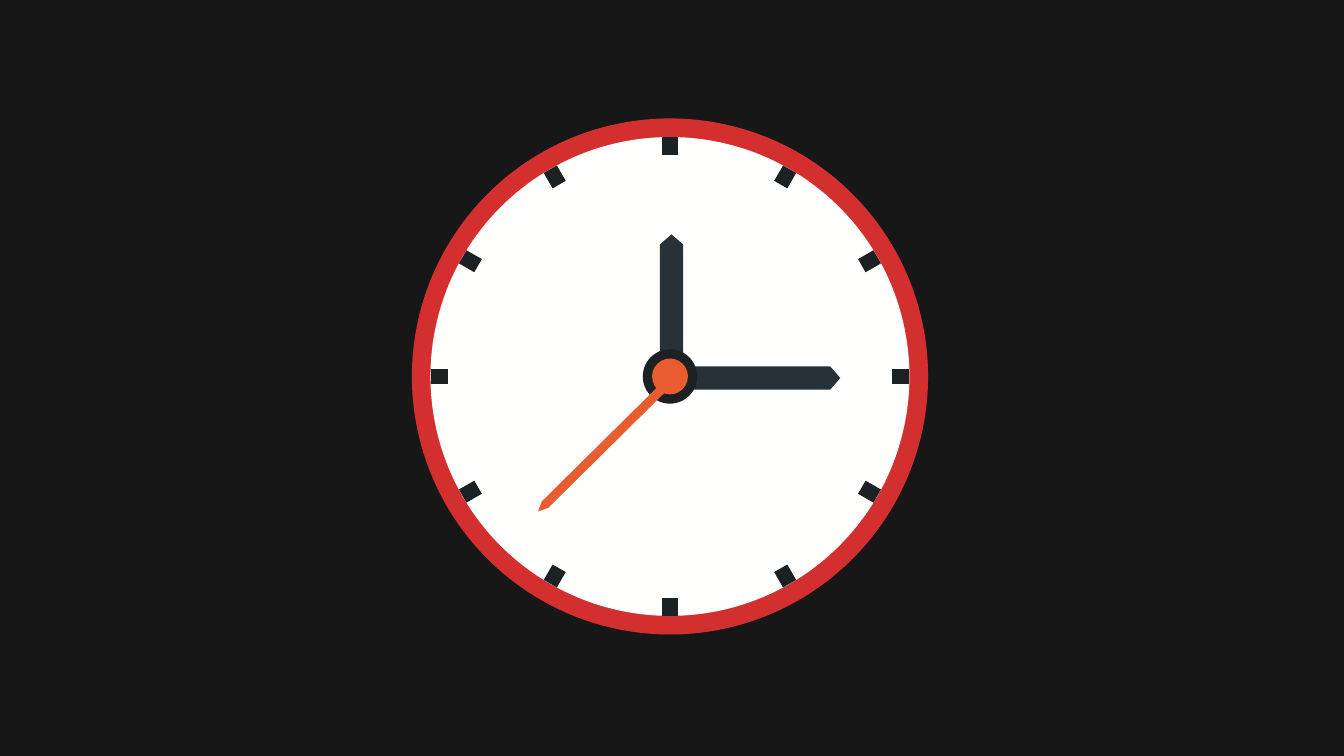
from math import cos, radians, sin

from pptx import Presentation
from pptx.dml.color import RGBColor
from pptx.enum.shapes import MSO_SHAPE
from pptx.util import Inches

COLORS = {
    "backdrop": "181717",
    "rim": "D32F2F",
    "face": "FFFFFE",
    "hand": "263238",
    "mark": "1C2123",
    "second": "E95C30",
}

deck = Presentation()
for name, value in {"slide_width": 13.33, "slide_height": 7.5}.items():
    setattr(deck, name, Inches(value))
page = deck.slides.add_slide(deck.slide_layouts[6])
page.background.fill.solid()
page.background.fill.fore_color.rgb = RGBColor.from_string(COLORS["backdrop"])

# Clock lengths are percentages of the slide height.
percent = deck.slide_height / 100
center_x = deck.slide_width * 49.85 / 100
center_y = deck.slide_height * 49.8 / 100


def paint(shape, color):
    """Give a shape a flat fill with no outline or shadow."""
    shape.shadow.inherit = False
    shape.fill.solid()
    shape.fill.fore_color.rgb = RGBColor.from_string(COLORS[color])
    shape.line.fill.background()


def add_pointer(angle, outline, color):
    """Draw (along, across) points turned clockwise from twelve o'clock."""
    turn = radians(angle)
    points = [
        (
            round(center_x + percent * (across * cos(turn) + along * sin(turn))),
            round(center_y + percent * (across * sin(turn) - along * cos(turn))),
        )
        for along, across in outline
    ]
    builder = page.shapes.build_freeform(*points[0], scale=1.0)
    builder.add_line_segments(points[1:], close=True)
    paint(builder.convert_to_shape(), color)


# Each hand: angle, start, shoulder, tip, half width, sideways shift, color
hour_hand = (0, -1.3, 17.47, 18.8, 1.53, 0.2, "hand")
minute_hand = (90, 1.07, 21.2, 22.53, 1.53, 0.2, "hand")
second_hand = (225.3, 0.8, 23.67, 24.97, 0.6, -0.43, "second")

# Each disc: radius, color
dial = [(34.13, "rim"), (31.67, "face")]
hub = [(3.6, "mark"), (2.37, "second")]

# Back to front: dial, hour and minute hands, marks, hub, second hand
layers = [
    (dial, [hour_hand, minute_hand], range(0, 360, 30)),
    (hub, [second_hand], []),
]
for discs, hands, mark_angles in layers:
    for radius, color in discs:
        left, top = center_x - radius * percent, center_y - radius * percent
        size = round(2 * radius * percent)
        disc = page.shapes.add_shape(
            MSO_SHAPE.OVAL, round(left), round(top), size, size
        )
        paint(disc, color)
    for angle, start, shoulder, tip, half, shift, color in hands:
        near, far = shift - half, shift + half
        outline = [
            (start, near), (shoulder, near), (tip, shift),
            (shoulder, far), (start, far),
        ]
        add_pointer(angle, outline, color)
    for angle in mark_angles:
        add_pointer(angle, [(29.3, -1), (31.65, -1), (31.65, 1), (29.3, 1)], "mark")

deck.save("out.pptx")
